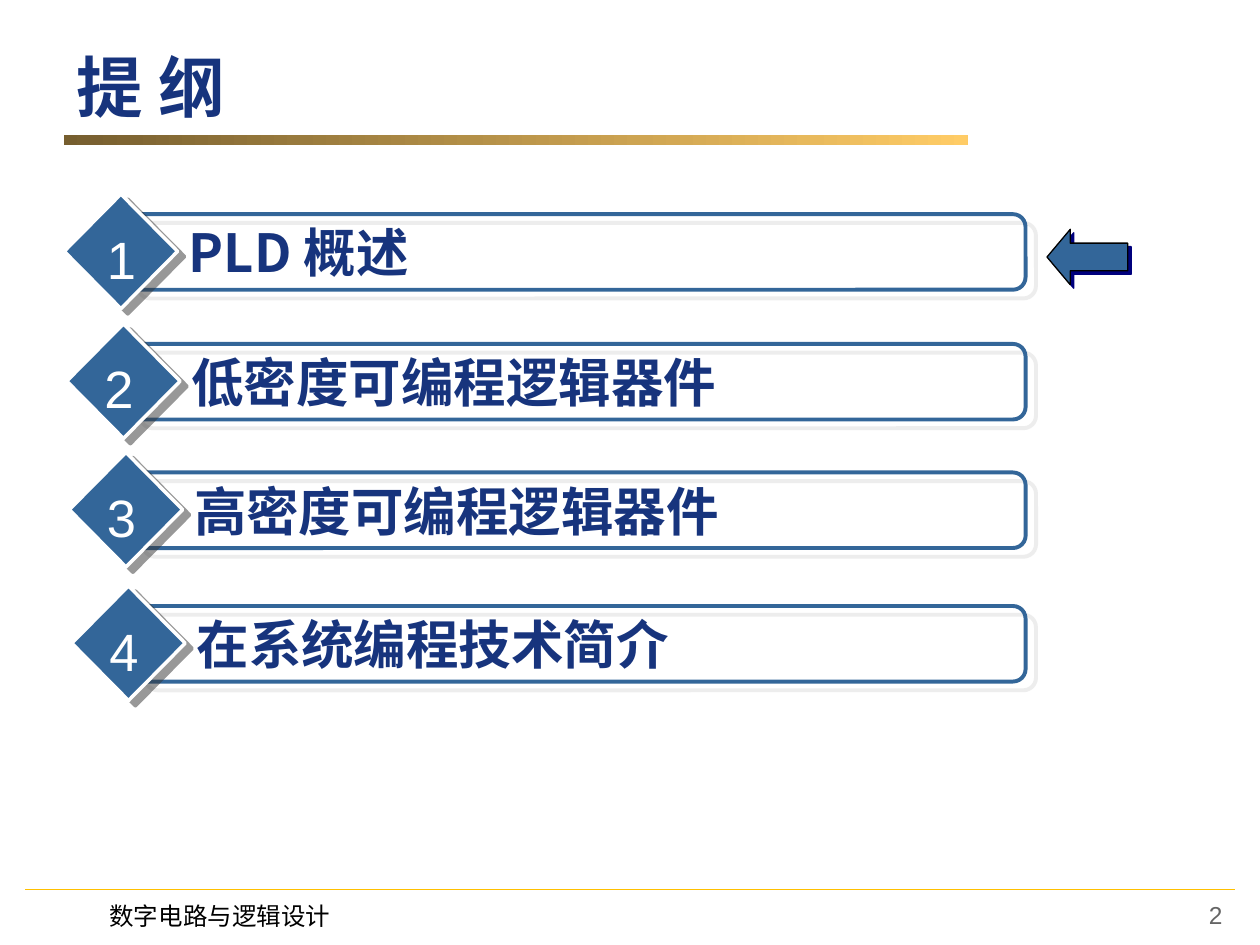
import dataclasses

import lxml.etree
import pptx
import pptx.dml.color
import pptx.enum.shapes
import pptx.enum.text
import pptx.oxml.ns
import pptx.util

Inches = pptx.util.Inches
Pt = pptx.util.Pt
SHAPE = pptx.enum.shapes.MSO_SHAPE
ALIGN = pptx.enum.text.PP_ALIGN
ANCHOR = pptx.enum.text.MSO_ANCHOR
AUTO_SIZE = pptx.enum.text.MSO_AUTO_SIZE
qn = pptx.oxml.ns.qn


@dataclasses.dataclass(frozen=True)
class Theme:
    latin: str = "Arial"
    chinese: str = "Noto Sans CJK SC"
    navy: str = "17347D"
    blue: str = "336699"
    white: str = "FFFFFF"
    black: str = "000000"
    gray: str = "656565"
    gold: str = "FFC000"
    bar_start: str = "765E2F"
    bar_end: str = "FFCC66"
    title_size: int = 38
    item_size: int = 30
    footer_size: int = 14
    # Shadows: colour, opacity %, distance in points, angle in degrees
    panel_shadow: tuple = ("DDDDDD", 50, 7.8, 40)
    diamond_shadow: tuple = ("333333", 50, 5, 37)
    arrow_shadow: tuple = ("00007D", 100, 2.8, 45)


def rgb(color):
    return pptx.dml.color.RGBColor.from_string(color)


def set_attributes(target, values):
    for name, value in values.items():
        setattr(target, name, value)


class SlideBuilder:
    def __init__(self, slide, theme):
        self.slide = slide
        self.theme = theme

    def shape(self, kind, box, fill=None, line=None, shadow=None):
        """Add a preset shape; line is (colour, points)."""
        shape = self.slide.shapes.add_shape(kind, *map(Inches, box))
        shape.shadow.inherit = False
        if fill:
            shape.fill.solid()
            shape.fill.fore_color.rgb = rgb(fill)
        else:
            shape.fill.background()
        if line:
            shape.line.color.rgb = rgb(line[0])
            shape.line.width = Pt(line[1])
        else:
            shape.line.fill.background()
        if shadow:
            self.add_shadow(shape, *shadow)
        return shape

    def add_shadow(self, shape, color, opacity, distance, angle):
        effects = shape._element.spPr.find(qn("a:effectLst"))
        outer = lxml.etree.SubElement(
            effects, qn("a:outerShdw"), dist=str(int(Pt(distance))),
            dir=str(angle * 60000), algn="ctr", rotWithShape="0")
        fill = lxml.etree.SubElement(outer, qn("a:srgbClr"), val=color)
        lxml.etree.SubElement(fill, qn("a:alpha"), val=str(opacity * 1000))

    def gradient_bar(self, box, colors):
        bar = self.shape(SHAPE.RECTANGLE, box)
        bar.fill.gradient()
        bar.fill.gradient_angle = 0
        for stop, color in zip(bar.fill.gradient_stops, colors):
            stop.color.rgb = rgb(color)

    def line(self, start, end, color, width):
        connector = self.slide.shapes.add_connector(
            pptx.enum.shapes.MSO_CONNECTOR.STRAIGHT,
            *map(Inches, (*start, *end)))
        connector.line.color.rgb = rgb(color)
        connector.line.width = Pt(width)
        lxml.etree.SubElement(connector._element.spPr, qn("a:effectLst"))

    def text(self, text, box, size, font, color, bold=False,
             align=ALIGN.LEFT, **frame_format):
        text_box = self.slide.shapes.add_textbox(*map(Inches, box))
        frame = text_box.text_frame
        set_attributes(frame, {"word_wrap": True, **frame_format})
        paragraph = frame.paragraphs[0]
        paragraph.alignment = align
        run = paragraph.add_run()
        run.text = text
        set_attributes(run.font, {"name": font, "size": Pt(size), "bold": bold})
        run.font.color.rgb = rgb(color)
        lxml.etree.SubElement(run._r.rPr, qn("a:ea"), typeface=font)

    def outline_item(self, number, label, left, top, number_left):
        """Add a numbered diamond with its framed heading."""
        theme = self.theme
        self.shape(SHAPE.ROUNDED_RECTANGLE, (left + 0.5, top, 7.64 - left, 0.6),
                   line=(theme.blue, 2.25), shadow=theme.panel_shadow)
        self.shape(SHAPE.DIAMOND, (left, top - 0.16, 0.9, 0.91), theme.blue,
                   (theme.white, 2), theme.diamond_shadow)
        self.text(label, (left + 0.8, top, 7.1, 0.6), theme.item_size,
                  theme.chinese, theme.navy, bold=True,
                  auto_size=AUTO_SIZE.SHAPE_TO_FIT_TEXT,
                  margin_left=Inches(0.19))
        self.text(str(number), (number_left, top + 0.05, 0.47, 0.61),
                  theme.item_size, theme.latin, theme.white,
                  auto_size=AUTO_SIZE.SHAPE_TO_FIT_TEXT)


def main():
    theme = Theme()
    presentation = pptx.Presentation()
    presentation.slide_width = Inches(10)
    presentation.slide_height = Inches(7.5)
    slide = presentation.slides.add_slide(presentation.slide_layouts[6])
    builder = SlideBuilder(slide, theme)

    builder.line((0.2, 7.06), (9.8, 7.06), theme.gold, 0.75)
    builder.gradient_bar((0.51, 1.07, 7.17, 0.08),
                         (theme.bar_start, theme.bar_end))
    builder.text("提 纲", (0.51, 0.3, 8.98, 0.77), theme.title_size,
                 theme.chinese, theme.navy, bold=True,
                 vertical_anchor=ANCHOR.MIDDLE)

    items = [
        ("PLD 概述", 1.7, 0.75),
        ("低密度可编程逻辑器件", 2.73, 0.73),
        ("高密度可编程逻辑器件", 3.75, 0.75),
        ("在系统编程技术简介", 4.81, 0.77),
    ]
    for index, (label, top, number_left) in enumerate(items):
        builder.outline_item(index + 1, label, 0.51 + 0.02 * index, top,
                             number_left)

    arrow = builder.shape(SHAPE.LEFT_ARROW, (8.31, 1.82, 0.64, 0.44),
                          theme.blue, (theme.black, 0.75), theme.arrow_shadow)
    arrow.adjustments[0] = 0.5
    arrow.adjustments[1] = 0.42

    builder.text("数字电路与逻辑设计", (0.77, 7.1, 2.09, 0.34),
                 theme.footer_size, theme.chinese, theme.black)
    builder.text("2", (7.47, 7.09, 2.33, 0.52), theme.footer_size,
                 theme.latin, theme.gray, align=ALIGN.RIGHT)
    presentation.save("out.pptx")


if __name__ == "__main__":
    main()
